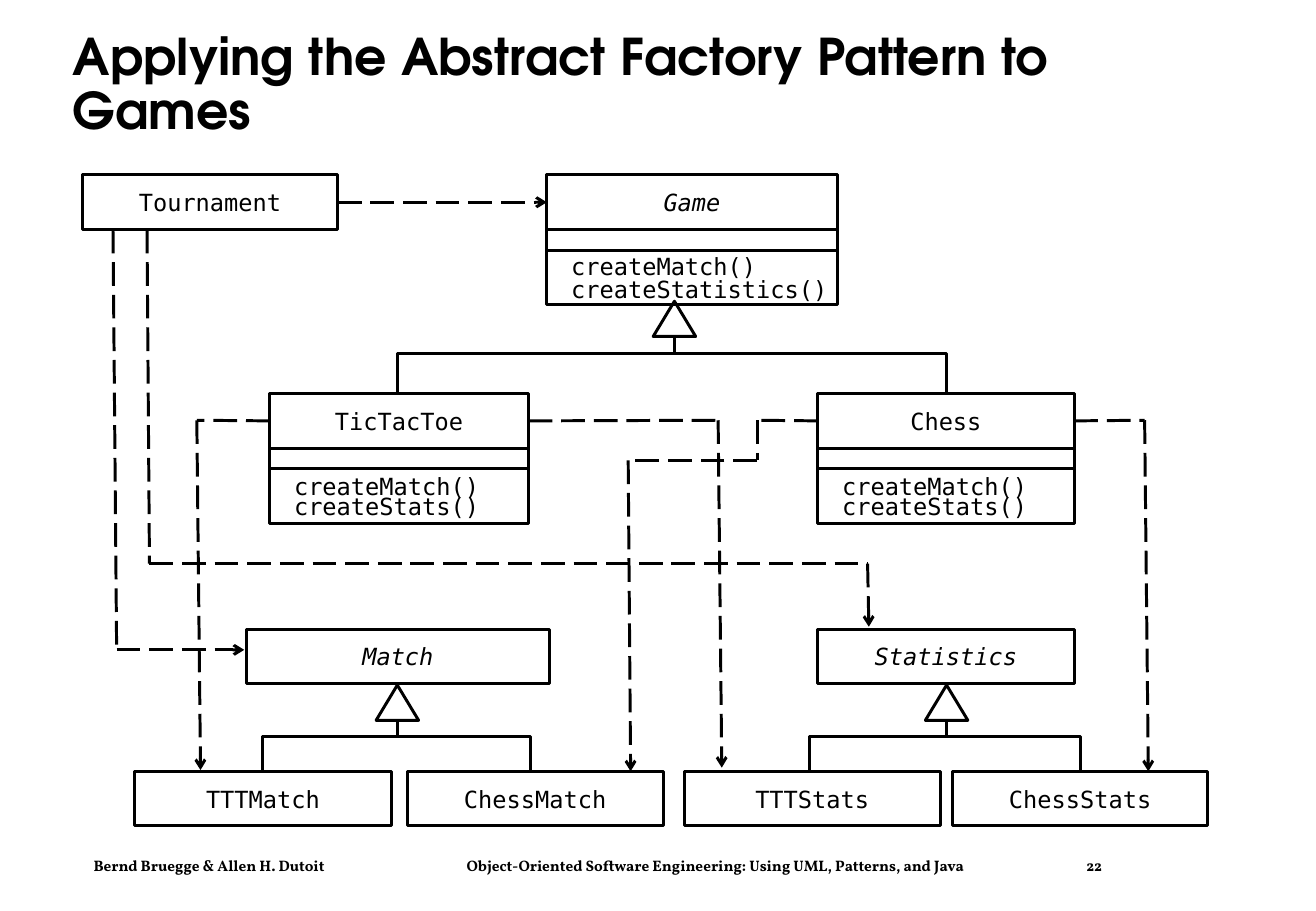
from itertools import pairwise

from lxml.etree import SubElement
from pptx import Presentation
from pptx.dml.color import RGBColor
from pptx.enum.dml import MSO_LINE
from pptx.enum.shapes import MSO_CONNECTOR, MSO_SHAPE
from pptx.enum.text import MSO_ANCHOR as Anchor, PP_ALIGN as Align
from pptx.oxml.ns import qn
from pptx.util import Inches, Pt

WIDTH, HEIGHT = 10.83, 7.5
INK = "000000"
TITLE_FONT, CODE_FONT, FOOTER_FONT = "TeX Gyre Adventor", "DejaVu Sans Mono", "Vollkorn"
LINE_WIDTH = 1.75
LEFT, RIGHT = 1, 3  # connection sites of a rectangle

# Grid rows, in inches from the top
TOP_ROW, MIDDLE_ROW, PRODUCT_ROW, LEAF_ROW, FOOTER_ROW = 1.44, 3.24, 5.18, 6.35, 7.0
NAME_HEIGHT, ATTRIBUTE_HEIGHT, METHOD_HEIGHT = 0.45, 0.17, 0.45
TRIANGLE_WIDTH, TRIANGLE_HEIGHT = 0.35, 0.29

TITLE = "Applying the Abstract Factory Pattern to Games"
# (left, width, text)
FOOTER = [
    (0.77, 2.5, "Bernd Bruegge & Allen H. Dutoit"),
    (3.84, 4.8, "Object-Oriented Software Engineering: Using UML, Patterns, and Java"),
    (8.94, 0.5, "22"),
]

# name: (left, top, width, abstract)
CLASSES = {
    "Tournament": (0.68, TOP_ROW, 2.1, False),
    "Game": (4.5, TOP_ROW, 2.39, True),
    "TicTacToe": (2.22, MIDDLE_ROW, 2.13, False),
    "Chess": (6.73, MIDDLE_ROW, 2.11, False),
    "Match": (2.03, PRODUCT_ROW, 2.49, True),
    "Statistics": (6.73, PRODUCT_ROW, 2.11, True),
    "TTTMatch": (1.11, LEAF_ROW, 2.11, False),
    "ChessMatch": (3.35, LEAF_ROW, 2.11, False),
    "TTTStats": (5.63, LEAF_ROW, 2.11, False),
    "ChessStats": (7.84, LEAF_ROW, 2.1, False),
}
# name: (methods, line pitch in points, space above the first line)
METHODS = {
    "Game": (["createMatch()", "createStatistics()"], 13.5, 0.06),
    "TicTacToe": (["createMatch()", "createStats()"], 11.5, 0.1),
    "Chess": (["createMatch()", "createStats()"], 11.5, 0.1),
}
# (trunk x, triangle tip y, bar y, child xs, child top)
INHERITANCE = [
    (5.55, 2.48, 2.91, (3.27, 7.79), MIDDLE_ROW),
    (3.27, 5.64, 6.06, (2.16, 4.37), LEAF_ROW),
    (7.79, 5.64, 6.06, (6.66, 8.89), LEAF_ROW),
]
# (points, class and side the route starts from, class and side it ends at)
ROUTES = [
    ([(2.78, 1.66), (4.5, 1.66)], ("Tournament", RIGHT), ("Game", LEFT)),
    ([(0.93, 1.89), (0.96, 5.35), (2.01, 5.35)], None, None),
    ([(1.21, 1.89), (1.23, 4.64), (7.14, 4.64), (7.15, 5.16)], None, None),
    ([(2.22, 3.46), (1.62, 3.46), (1.65, 6.34)], ("TicTacToe", LEFT), None),
    ([(4.35, 3.46), (5.91, 3.46), (5.94, 6.32)], ("TicTacToe", RIGHT), None),
    ([(6.73, 3.46), (6.23, 3.46), (6.23, 3.79), (5.17, 3.79), (5.19, 6.35)],
     ("Chess", LEFT), None),
    ([(8.84, 3.46), (9.42, 3.46), (9.45, 6.35)], ("Chess", RIGHT), None),
]

presentation = Presentation()
presentation.slide_width, presentation.slide_height = Inches(WIDTH), Inches(HEIGHT)
slide = presentation.slides.add_slide(presentation.slide_layouts[6])
shapes = slide.shapes


def color(value):
    return RGBColor.from_string(value)


def to_emu(*lengths):
    return tuple(Inches(length) for length in lengths)


def write(shape, lines, font=CODE_FONT, size=14, bold=False, italic=False,
          align=Align.LEFT, anchor=Anchor.TOP, inset=(0, 0), spacing=None, wrap=False):
    """Fill a shape with one paragraph per line; inset is (left and right, top)."""
    frame = shape.text_frame
    frame.word_wrap, frame.vertical_anchor = wrap, anchor
    frame.margin_left = frame.margin_right = Inches(inset[0])
    frame.margin_top, frame.margin_bottom = Inches(inset[1]), 0
    for index, line in enumerate(lines):
        paragraph = frame.add_paragraph() if index else frame.paragraphs[0]
        paragraph.alignment = align
        if spacing:
            paragraph.line_spacing = spacing
        run = paragraph.add_run()
        run.text = line
        run.font.name, run.font.size = font, Pt(size)
        run.font.bold, run.font.italic = bold, italic
        run.font.color.rgb = color(INK)


def text_box(left, top, width, height, text, **style):
    box = shapes.add_textbox(*to_emu(left, top, width, height))
    write(box, [text], wrap=True, **style)


def outline(shape):
    shape.shadow.inherit = False
    shape.fill.background()
    shape.line.color.rgb, shape.line.width = color(INK), Pt(LINE_WIDTH)
    return shape


def add_outlined(kind, left, top, width, height):
    return outline(shapes.add_shape(kind, *to_emu(left, top, width, height)))


def add_line(start, end, dashed=False, arrow=False):
    connector = shapes.add_connector(MSO_CONNECTOR.STRAIGHT, *to_emu(*start, *end))
    line = connector.line
    line.color.rgb, line.width = color(INK), Pt(LINE_WIDTH)
    if dashed:
        line.dash_style = MSO_LINE.LONG_DASH
    if arrow:
        SubElement(line._get_or_add_ln(), qn("a:tailEnd"), type="arrow")
    SubElement(connector._element.spPr, qn("a:effectLst"))
    return connector


def add_class(name):
    left, top, width, abstract = CLASSES[name]
    box = add_outlined(MSO_SHAPE.RECTANGLE, left, top, width, NAME_HEIGHT)
    write(box, [name], italic=abstract, align=Align.CENTER, anchor=Anchor.MIDDLE)
    if name in METHODS:
        methods, pitch, space_above = METHODS[name]
        top += NAME_HEIGHT
        add_outlined(MSO_SHAPE.RECTANGLE, left, top, width, ATTRIBUTE_HEIGHT)
        top += ATTRIBUTE_HEIGHT
        method_box = add_outlined(MSO_SHAPE.RECTANGLE, left, top, width, METHOD_HEIGHT)
        write(method_box, methods, inset=(0.2, space_above), spacing=Pt(pitch))
    return box


def add_inheritance(trunk, tip, bar, children, child_top):
    add_outlined(MSO_SHAPE.ISOSCELES_TRIANGLE, trunk - TRIANGLE_WIDTH / 2, tip,
                 TRIANGLE_WIDTH, TRIANGLE_HEIGHT)
    add_line((trunk, bar), (trunk, tip + TRIANGLE_HEIGHT))
    first, last = children
    corners = [(first, bar), (last, bar), (last, child_top)]
    bracket = shapes.build_freeform(*to_emu(first, child_top))
    bracket.add_line_segments([to_emu(*corner) for corner in corners], close=False)
    outline(bracket.convert_to_shape())


def add_route(points, source, target):
    segments = list(pairwise(points))
    lines = [add_line(start, end, dashed=True, arrow=number == len(segments))
             for number, (start, end) in enumerate(segments, 1)]
    if source:
        lines[0].begin_connect(boxes[source[0]], source[1])
    if target:
        lines[-1].end_connect(boxes[target[0]], target[1])


text_box(0.5, 0.24, 9.66, 0.94, TITLE, font=TITLE_FONT, size=30, bold=True,
         anchor=Anchor.MIDDLE, inset=(0.1, 0), spacing=0.9)
boxes = {name: add_class(name) for name in CLASSES}
for family in INHERITANCE:
    add_inheritance(*family)
for route in ROUTES:
    add_route(*route)
for footer_left, footer_width, footer_text in FOOTER:
    text_box(footer_left, FOOTER_ROW, footer_width, 0.25, footer_text,
             font=FOOTER_FONT, size=9, bold=True, inset=(0, 0.05))

presentation.save("out.pptx")
